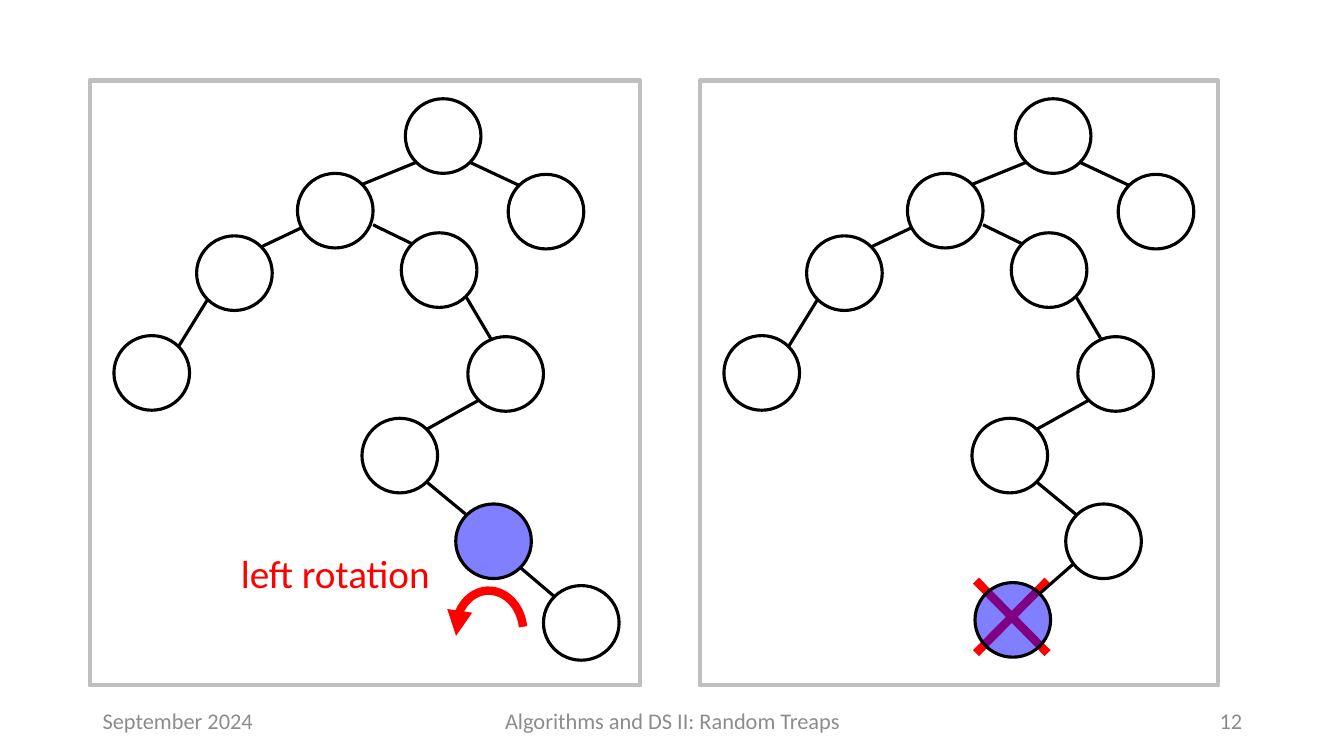
"""Build a slide that shows a left rotation and a delete in a random treap."""
from lxml import etree
from pptx import Presentation
from pptx.dml.color import RGBColor
from pptx.enum.shapes import MSO_CONNECTOR, MSO_SHAPE
from pptx.enum.text import MSO_ANCHOR, MSO_AUTO_SIZE, PP_ALIGN
from pptx.oxml.ns import qn
from pptx.util import Inches, Pt

LINE = MSO_CONNECTOR.STRAIGHT
RECT, OVAL, ARC = MSO_SHAPE.RECTANGLE, MSO_SHAPE.OVAL, MSO_SHAPE.ARC
LEFT, MID, RIGHT = PP_ALIGN.LEFT, PP_ALIGN.CENTER, PP_ALIGN.RIGHT

HUES = {"ink": "000000", "red": "FF0000", "blue": "0000FF",
        "frame": "BFBFBF", "foot": "8C8C8C"}
FONT = "Calibri"
FOOT = [
    ("September 2024", 0.92, 3, LEFT),
    ("Algorithms and DS II: Random Treaps", 4.42, 4.5, MID),
    ("12", 9.42, 3, RIGHT),
]
NODES = {
    "root": (4.02, 0.98), "l": (2.95, 1.72), "r": (5.04, 1.73),
    "ll": (1.95, 2.34), "lll": (1.13, 3.33), "lr": (3.98, 2.31),
    "lrr": (4.64, 3.34), "mid": (3.59, 4.15), "low": (4.52, 5),
}
EDGES = [("root", "l"), ("root", "r"), ("l", "ll"), ("l", "lr"),
         ("ll", "lll"), ("lr", "lrr"), ("lrr", "mid"), ("mid", "low")]
STARTS = {("l", "ll"): (2.99, 2.26), ("l", "lr"): (3.7, 2.23),
          ("low", "drop"): (4.59, 5.6)}
ENDS = {("lr", "lrr"): (4.88, 3.38)}
TREES = [
    {"dx": 0, "wide": 5.46, "leaf": "last", "at": (5.39, 5.81), "key": "low"},
    {"dx": 6.05, "wide": 5.14, "leaf": "drop", "at": (3.62, 5.78), "key": "drop"},
]
CROSS = [((9.68, 5.76), (10.39, 6.48)), ((10.39, 5.76), (9.68, 6.48))]
WIDE, HIGH, INSET = 0.75, 0.74, 0.11

deck = Presentation()
deck.slide_width, deck.slide_height = Inches(13.33), Inches(7.5)
slide = deck.slides.add_slide(deck.slide_layouts[6])


def tint(hue):
    return RGBColor.from_string(HUES[hue])


def stroke(item, hue, size):
    item.line.color.rgb = tint(hue)
    item.line.width = Pt(size)


def shape(kind, box, hue, size, fill=None):
    item = slide.shapes.add_shape(kind, *map(Inches, box))
    item.shadow.inherit = False
    stroke(item, hue, size)
    if fill:
        item.fill.solid()
        item.fill.fore_color.rgb = tint(fill)
        color = item.fill._xPr.find(".//" + qn("a:srgbClr"))
        etree.SubElement(color, qn("a:alpha")).set("val", "50000")
    else:
        item.fill.background()
    return item


def line(start, end, hue, size):
    item = slide.shapes.add_connector(LINE, *map(Inches, start + end))
    stroke(item, hue, size)
    etree.SubElement(item._element.spPr, qn("a:effectLst"))


def label(text, box, align, hue, size):
    frame = slide.shapes.add_textbox(*map(Inches, box)).text_frame
    frame.word_wrap = True
    para = frame.paragraphs[0]
    para.alignment = align
    run = para.add_run()
    run.text = text
    run.font.name, run.font.size = FONT, Pt(size)
    run.font.color.rgb = tint(hue)
    return frame


def ends(nodes, edge):
    (px, py), (cx, cy) = (nodes[name] for name in edge)
    near, far = (INSET, WIDE - INSET) if cx < px else (WIDE - INSET, INSET)
    start = STARTS.get(edge, (px + near, py + HIGH - INSET))
    return start, ENDS.get(edge, (cx + far, cy + INSET))


def tree(dx, wide, leaf, at, key):
    nodes = {**NODES, leaf: at}
    shape(RECT, (0.89 + dx, 0.8, wide, 6), "frame", 3)
    for edge in EDGES + [("low", leaf)]:
        (ax, ay), (bx, by) = ends(nodes, edge)
        line((ax + dx, ay), (bx + dx, by), "ink", 2.25)
    for name, (x, y) in nodes.items():
        fill = "blue" if name == key else None
        shape(OVAL, (x + dx, y, WIDE, HIGH), "ink", 2.25, fill)


for text, x, wide, align in FOOT:
    foot = label(text, (x, 6.95, wide, 0.4), align, "foot", 16)
    foot.vertical_anchor = MSO_ANCHOR.MIDDLE

note = label("left rotation", (2.1, 5.4, 2.45, 0.57), MID, "red", 28)
note.auto_size = MSO_AUTO_SIZE.SHAPE_TO_FIT_TEXT

turn = shape(ARC, (4.52, 5.86, 0.67, 0.8), "red", 6)
turn.adjustments[0], turn.adjustments[1] = 110.156, 2.904
turn.rotation = 356.5
turn._element.spPr.find(qn("a:xfrm")).set("flipH", "1")
tail = etree.SubElement(turn.line._get_or_add_ln(), qn("a:tailEnd"))
tail.set("type", "triangle")

for start, end in CROSS:
    line(start, end, "red", 6)
for plan in TREES:
    tree(**plan)

deck.save("out.pptx")
